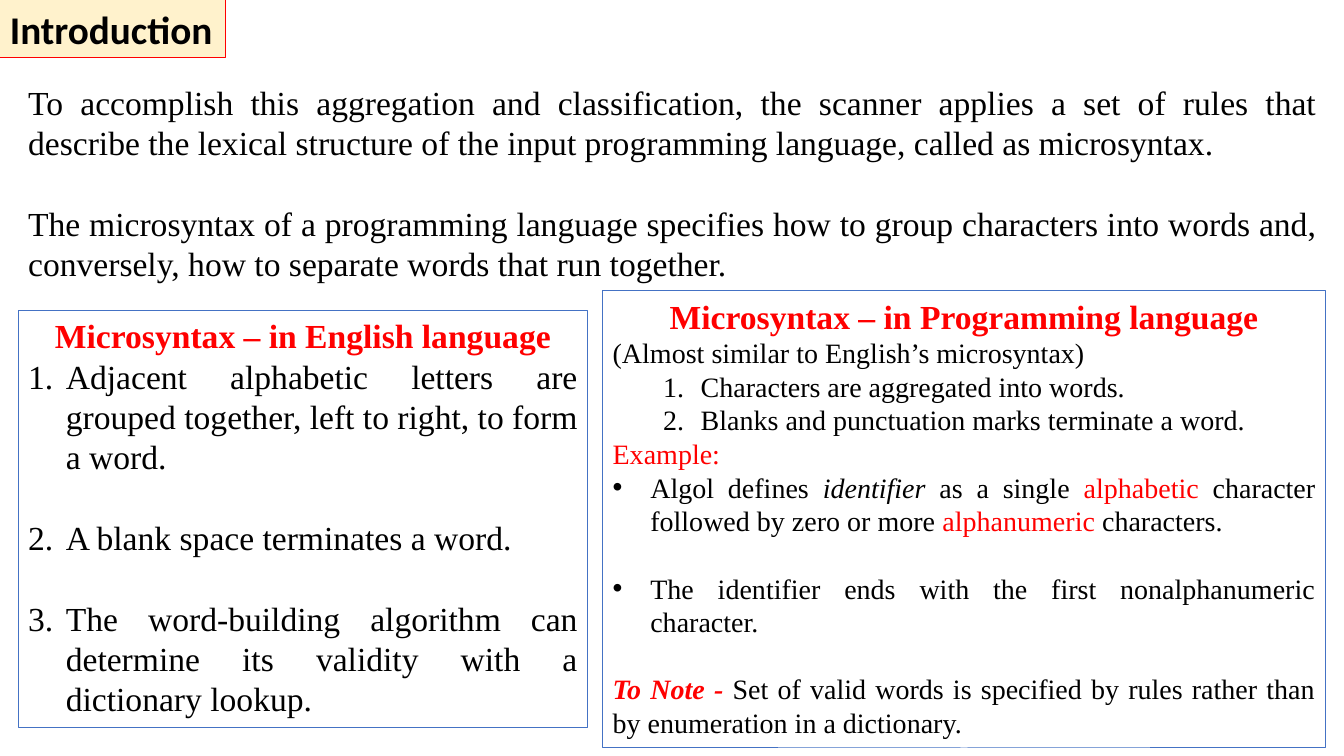
from dataclasses import dataclass
from typing import Optional

from lxml import etree
from pptx import Presentation
from pptx.dml.color import RGBColor
from pptx.enum.shapes import MSO_SHAPE
from pptx.enum.text import MSO_ANCHOR, MSO_AUTO_SIZE, PP_ALIGN
from pptx.oxml.ns import qn
from pptx.slide import Slide
from pptx.util import Cm, Pt

RECTANGLE = MSO_SHAPE.RECTANGLE
TOP = MSO_ANCHOR.TOP
GROW = MSO_AUTO_SIZE.SHAPE_TO_FIT_TEXT
LEFT, CENTER, JUSTIFY = PP_ALIGN.LEFT, PP_ALIGN.CENTER, PP_ALIGN.JUSTIFY
BLANK_LAYOUT = 6


@dataclass(frozen=True)
class Theme:
    heading_font: str = "Calibri"
    body_font: str = "Times New Roman"
    black: str = "000000"
    red: str = "FF0000"
    cream: str = "FFF2CC"
    blue: str = "4472C4"
    title_size: float = 28
    large_size: float = 24
    small_size: float = 20
    border: float = 0.75
    line_factor: float = 1.2
    hanging: float = 0.95


THEME = Theme()


@dataclass(frozen=True)
class Span:
    text: str
    color: str = THEME.black
    bold: bool = False
    italic: bool = False


@dataclass(frozen=True)
class Line:
    spans: tuple[Span, ...]
    size: float = THEME.large_size
    align: PP_ALIGN = JUSTIFY
    marker: str = ""  # "1." for numbers, "•" for bullets
    level: int = 0
    margin: float = THEME.hanging
    gap: bool = False  # one line of space above


@dataclass(frozen=True)
class Box:
    left: float
    top: float
    width: float
    height: float
    lines: tuple[Line, ...]
    font: str = THEME.body_font
    fill: Optional[str] = None
    border: Optional[str] = None
    wrap: bool = True


def plain(text: str, **options) -> Line:
    return Line((Span(text),), **options)


def heading(text: str) -> Line:
    return Line((Span(text, THEME.red, bold=True),), align=CENTER)


def add_marker(paragraph, line: Line) -> None:
    properties = paragraph._p.get_or_add_pPr()
    properties.set("marL", str(Cm(line.margin)))
    properties.set("indent", str(-Cm(THEME.hanging)))
    if line.marker == "•":
        etree.SubElement(properties, qn("a:buFont")).set("typeface", "Arial")
        etree.SubElement(properties, qn("a:buChar")).set("char", line.marker)
    else:
        etree.SubElement(properties, qn("a:buAutoNum")).set("type", "arabicPeriod")


def write_line(paragraph, line: Line, font: str) -> None:
    paragraph.alignment = line.align
    paragraph.level = line.level
    if line.marker:
        add_marker(paragraph, line)
    if line.gap:
        paragraph.space_before = Pt(line.size * THEME.line_factor)
    for span in line.spans:
        run = paragraph.add_run()
        run.text = span.text
        run.font.name = font
        run.font.size = Pt(line.size)
        run.font.bold = span.bold
        run.font.italic = span.italic
        run.font.color.rgb = RGBColor.from_string(span.color)


def draw_box(slide: Slide, box: Box) -> None:
    place = Cm(box.left), Cm(box.top), Cm(box.width), Cm(box.height)
    if box.border:
        shape = slide.shapes.add_shape(RECTANGLE, *place)
        shape.shadow.inherit = False
        shape.line.color.rgb = RGBColor.from_string(box.border)
        shape.line.width = Pt(THEME.border)
        if box.fill:
            shape.fill.solid()
            shape.fill.fore_color.rgb = RGBColor.from_string(box.fill)
        else:
            shape.fill.background()
    else:
        shape = slide.shapes.add_textbox(*place)
    frame = shape.text_frame
    frame.word_wrap = box.wrap
    frame.auto_size = GROW
    frame.vertical_anchor = TOP
    for index, line in enumerate(box.lines):
        paragraph = frame.add_paragraph() if index else frame.paragraphs[0]
        write_line(paragraph, line, box.font)


SMALL = THEME.small_size
NUMBERED = {"marker": "1."}
SUB_NUMBERED = {"marker": "1.", "size": SMALL, "level": 1, "margin": 2.22}
BULLETED = {"marker": "•", "size": SMALL}

TITLE = Box(0, 0, 5.69, 1.45, (
    Line((Span("Introduction", bold=True),), THEME.title_size, LEFT),
), THEME.heading_font, THEME.cream, THEME.red, wrap=False)

OVERVIEW = Box(0.46, 1.93, 32.97, 5.38, (
    plain("To accomplish this aggregation and classification, the scanner applies a set of "
          "rules that describe the lexical structure of the input programming language, "
          "called as microsyntax."),
    plain("The microsyntax of a programming language specifies how to group characters into "
          "words and, conversely, how to separate words that run together.", gap=True),
))

ENGLISH = Box(0.46, 7.82, 14.35, 10.52, (
    heading("Microsyntax – in English language"),
    plain("Adjacent alphabetic letters are grouped together, left to right, to form a word.",
          **NUMBERED),
    plain("A blank space terminates a word.", gap=True, **NUMBERED),
    plain("The word-building algorithm can determine its validity with a dictionary lookup.",
          gap=True, **NUMBERED),
), border=THEME.blue)

PROGRAMMING = Box(15.19, 7.32, 18.21, 11.53, (
    heading("Microsyntax – in Programming language"),
    plain("(Almost similar to English’s microsyntax)", size=SMALL),
    plain("Characters are aggregated into words.", **SUB_NUMBERED),
    plain("Blanks and punctuation marks terminate a word.", **SUB_NUMBERED),
    Line((Span("Example:", THEME.red),), SMALL),
    Line((
        Span("Algol defines "),
        Span("identifier ", italic=True),
        Span("as a single "),
        Span("alphabetic", THEME.red),
        Span(" character followed by zero or more "),
        Span("alphanumeric", THEME.red),
        Span(" characters."),
    ), **BULLETED),
    plain("The identifier ends with the first nonalphanumeric character.",
          gap=True, **BULLETED),
    Line((
        Span("To Note - ", THEME.red, bold=True, italic=True),
        Span("Set of valid words is specified by rules rather than by enumeration in a "
             "dictionary."),
    ), SMALL, gap=True),
), border=THEME.blue)


def main() -> None:
    presentation = Presentation()
    presentation.slide_width = Cm(33.87)
    presentation.slide_height = Cm(19.05)
    slide = presentation.slides.add_slide(presentation.slide_layouts[BLANK_LAYOUT])
    # Title tag, overview text, then the two comparison panels
    for box in (TITLE, OVERVIEW, ENGLISH, PROGRAMMING):
        draw_box(slide, box)
    presentation.save("out.pptx")


if __name__ == "__main__":
    main()
